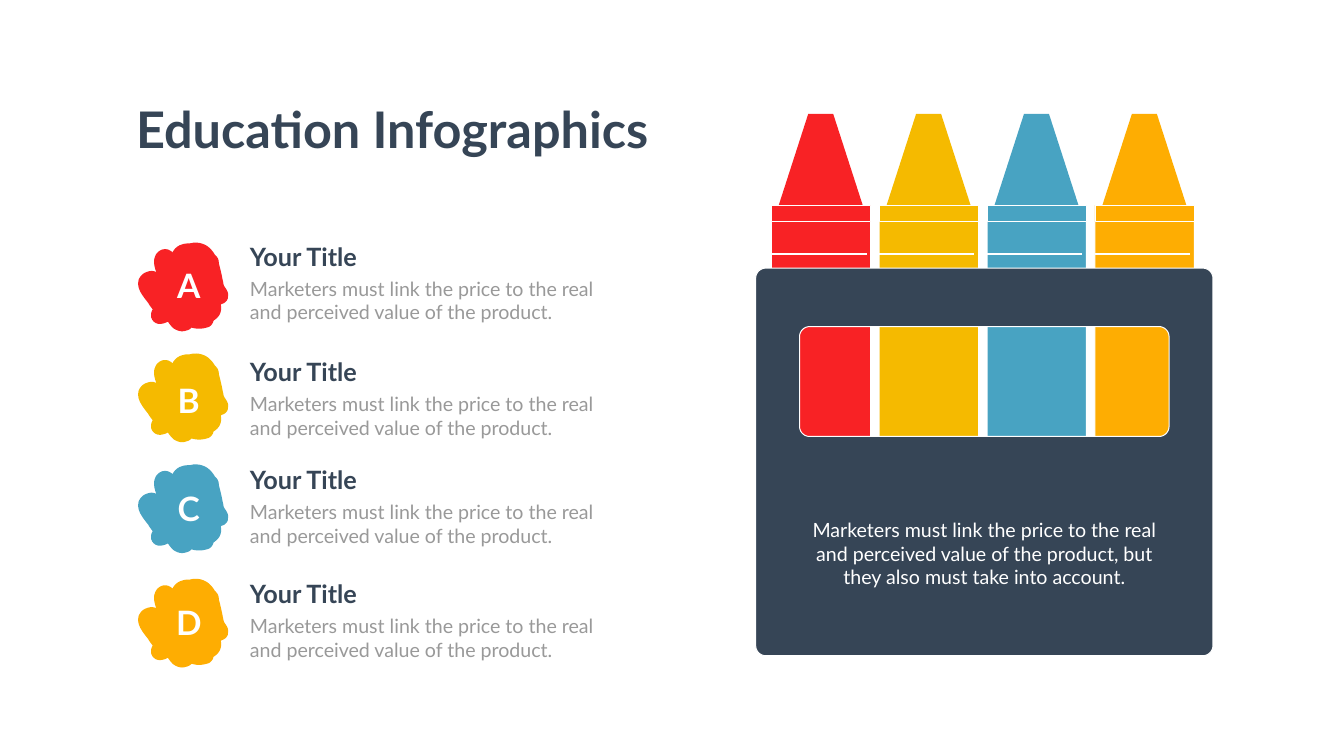
"""Build the crayon box infographic slide."""
from math import cos, radians, sin

from lxml import etree
from pptx import Presentation
from pptx.dml.color import RGBColor
from pptx.enum import shapes, text
from pptx.oxml import ns
from pptx.util import Inches, Pt

COLORS = {"red": "F82225", "yellow": "F5BA00", "blue": "48A3C2",
          "orange": "FEAD02", "navy": "364556", "gray": "999999",
          "white": "FFFFFF"}
CRAYONS = ["red", "yellow", "blue", "orange"]
BODY = "Marketers must link the price to the real and perceived value of the product"
BLOB_TOPS = [4.79, 6.99, 9.19, 11.46]
TEXT_TOPS = [4.73, 7.02, 9.16, 11.43]
BLOB_START = (1.82, 1.11)
BLOB_CURVES = [
    (1.82, 1.12, 1.82, 1.12, 1.82, 1.13), (1.8, 1.19, 1.75, 1.23, 1.7, 1.24),
    (1.69, 1.25, 1.69, 1.25, 1.68, 1.25), (1.69, 1.31, 1.69, 1.37, 1.67, 1.42),
    (1.65, 1.48, 1.6, 1.53, 1.54, 1.57), (1.53, 1.58, 1.53, 1.59, 1.53, 1.6),
    (1.5, 1.66, 1.46, 1.7, 1.4, 1.71), (1.3, 1.74, 1.2, 1.74, 1.1, 1.71),
    (1.07, 1.74, 1.04, 1.76, 0.99, 1.77), (0.91, 1.8, 0.83, 1.78, 0.75, 1.73),
    (0.71, 1.7, 0.67, 1.65, 0.63, 1.59), (0.6, 1.61, 0.57, 1.62, 0.53, 1.63),
    (0.43, 1.66, 0.33, 1.61, 0.3, 1.51), (0.29, 1.45, 0.3, 1.39, 0.33, 1.35),
    (0.3, 1.31, 0.26, 1.26, 0.24, 1.22), (0.12, 1.07, 0, 0.92, 0.05, 0.76),
    (0.07, 0.72, 0.11, 0.63, 0.23, 0.6), (0.29, 0.58, 0.35, 0.58, 0.4, 0.61),
    (0.35, 0.47, 0.34, 0.37, 0.38, 0.29), (0.4, 0.23, 0.46, 0.18, 0.52, 0.16),
    (0.57, 0.15, 0.63, 0.15, 0.67, 0.18), (0.69, 0.19, 0.71, 0.2, 0.72, 0.22),
    (0.76, 0.14, 0.83, 0.08, 0.91, 0.06), (0.97, 0.04, 1.01, 0.04, 1.06, 0.04),
    (1.21, 0, 1.32, 0.04, 1.39, 0.08), (1.46, 0.12, 1.52, 0.19, 1.56, 0.26),
    (1.59, 0.29, 1.62, 0.32, 1.63, 0.36), (1.64, 0.38, 1.64, 0.41, 1.64, 0.43),
    (1.67, 0.54, 1.7, 0.67, 1.72, 0.78), (1.73, 0.81, 1.73, 0.84, 1.74, 0.87),
    (1.75, 0.89, 1.76, 0.91, 1.77, 0.92), (1.81, 0.98, 1.84, 1.03, 1.82, 1.11)]


def paint(sp, fill, width=None):
    sp.shadow.inherit = False
    sp.fill.solid()
    sp.fill.fore_color.rgb = RGBColor.from_string(COLORS[fill])
    if width:
        sp.line.color.rgb = RGBColor.from_string(COLORS["white"])
        sp.line.width = Pt(width)
    else:
        sp.line.fill.background()


def add_text(box, words, size, color, bold=False, centred=False):
    tf = s.shapes.add_textbox(*map(Inches, box)).text_frame
    tf.word_wrap = True
    tf.auto_size = text.MSO_AUTO_SIZE.SHAPE_TO_FIT_TEXT
    p = tf.paragraphs[0]
    p.text = words
    p.alignment = text.PP_ALIGN.CENTER if centred else text.PP_ALIGN.LEFT
    p.font.name, p.font.size, p.font.bold = "Lato", Pt(size), bold
    p.font.color.rgb = RGBColor.from_string(COLORS[color])


prs = Presentation()
prs.slide_width, prs.slide_height = Inches(26.66), Inches(15)
s = prs.slides.add_slide(prs.slide_layouts[6])

add_text((2.6, 1.89, 11.32, 1.31), "Education Infographics", 72, "navy", bold=True)

blob = [BLOB_START]
for x1, y1, x2, y2, x3, y3 in BLOB_CURVES:
    x0, y0 = blob[-1]
    for step in range(1, 7):
        t = step / 6
        a, b, c, d = (1 - t) ** 3, 3 * t * (1 - t) ** 2, 3 * t * t * (1 - t), t ** 3
        blob.append((a * x0 + b * x1 + c * x2 + d * x3,
                     a * y0 + b * y1 + c * y2 + d * y3))

for letter, color, blob_top, top in zip("ABCD", CRAYONS, BLOB_TOPS, TEXT_TOPS):
    points = [(Inches(2.7 + x), Inches(blob_top + y)) for x, y in blob]
    outline = s.shapes.build_freeform(*points[0])
    outline.add_line_segments(points[1:])
    paint(outline.convert_to_shape(), color)
    add_text((4.86, top + 0.71, 7.33, 1.04), BODY + ".", 28, "gray")
    add_text((4.86, top, 5.27, 0.71), "Your Title", 36, "navy", bold=True)
    add_text((2.99, top + 0.47, 1.51, 0.91), letter, 48, "white", bold=True, centred=True)

for i, color in enumerate(CRAYONS):
    left = 15.3 + 2.14 * i
    for kind, dx, top, width, height, adjustments, line in [
            (shapes.MSO_SHAPE.TRAPEZOID, 0.07, 2.26, 1.82, 2.05, [0.364], None),
            (shapes.MSO_SHAPE.ROUND_2_SAME_RECTANGLE, 0, 4.39, 1.97, 8.35, [0, 0.05], 1.45),
            (shapes.MSO_SHAPE.RECTANGLE, 0, 4.07, 1.97, 0.33, [], 0.75)]:
        sp = s.shapes.add_shape(kind, Inches(left + dx), Inches(top),
                                Inches(width), Inches(height))
        for n, value in enumerate(adjustments):
            sp.adjustments[n] = value
        paint(sp, color, line)
    stripe = s.shapes.add_connector(shapes.MSO_CONNECTOR.STRAIGHT, Inches(left),
                                    Inches(5.04), Inches(left + 1.89), Inches(5.04))
    stripe.line.color.rgb = RGBColor.from_string(COLORS["white"])
    stripe.line.width = Pt(1.45)
    etree.SubElement(stripe._element.spPr, ns.qn("a:effectLst"))

radius = 0.2
contours = []
for left, top, right, bottom in [(14.99, 5.32, 24.06, 13.01), (15.86, 6.48, 23.19, 8.66)]:
    corners = [(right, bottom, -1, -1, 0), (left, bottom, 1, -1, 90),
               (left, top, 1, 1, 180), (right, top, -1, 1, 270)]
    contours.append([(Inches(x + radius * (sx + cos(radians(start + turn)))),
                      Inches(y + radius * (sy + sin(radians(start + turn)))))
                     for x, y, sx, sy, start in corners for turn in range(0, 91, 10)])
box, window = contours
outline = s.shapes.build_freeform(*box[0])
outline.add_line_segments(box[1:])
outline.move_to(*window[0])
outline.add_line_segments(window[1:])
paint(outline.convert_to_shape(), "navy", 1.45)

add_text((15.86, 10.23, 7.33, 1.51), BODY + ", but they also must take into account.",
         28, "white", centred=True)

prs.save("out.pptx")
